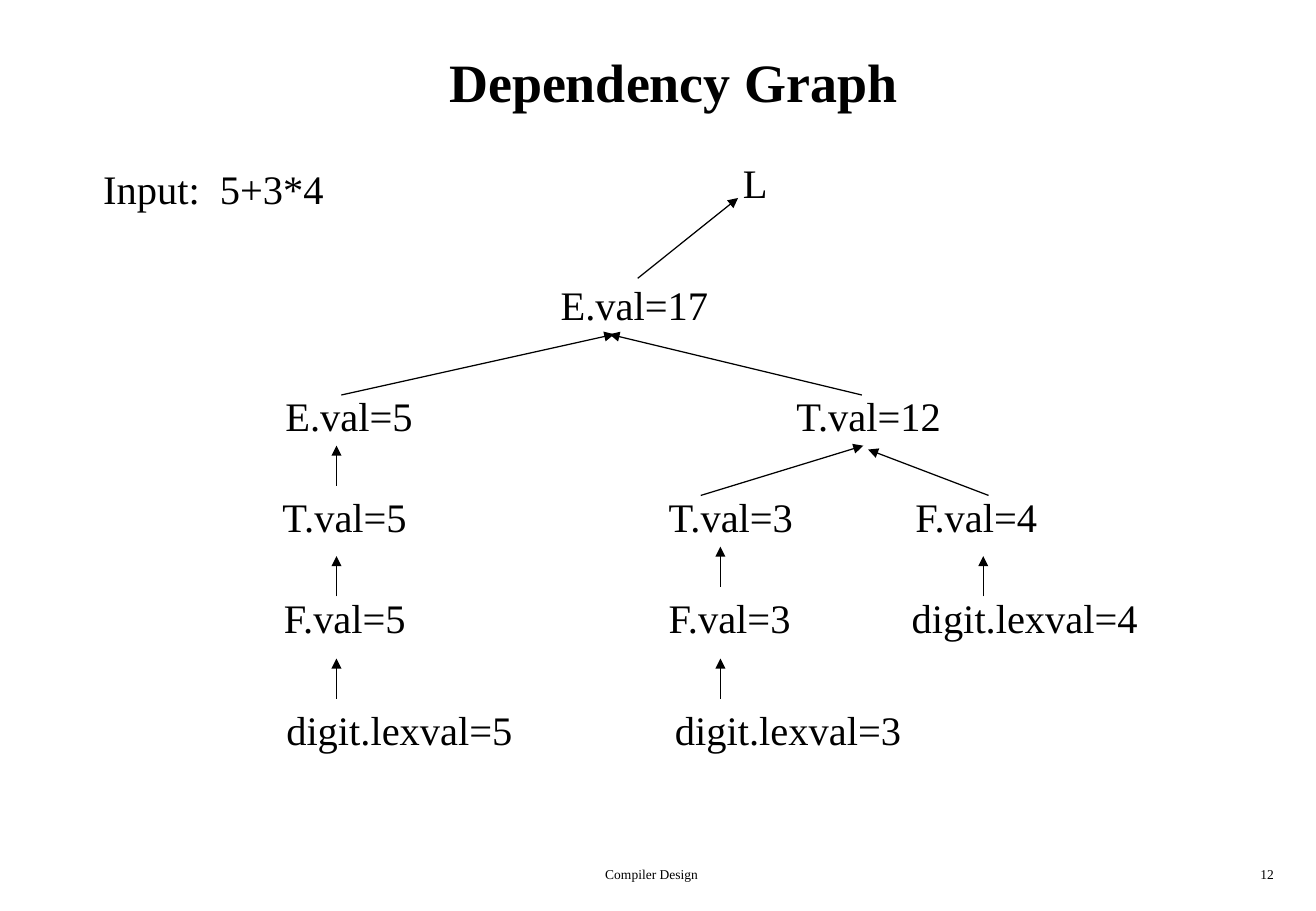
from collections import namedtuple

from lxml.etree import SubElement
from pptx import Presentation
from pptx.dml.color import RGBColor
from pptx.enum.shapes import MSO_CONNECTOR
from pptx.enum.text import MSO_ANCHOR, MSO_AUTO_SIZE, PP_ALIGN
from pptx.oxml.ns import qn
from pptx.util import Cm, Pt

BLACK = RGBColor(0, 0, 0)
WHITE = RGBColor(255, 255, 255)
FONT = "Times New Roman"
NODE_HEIGHT = 1.27
ARROW_RISE = 0.84

Box = namedtuple("Box", "left top width height")

ROW_TOPS = [0, 2.54, 4.87, 6.98, 9.09, 11.43]
NODES = [
    ("L", 9.69, 0),
    ("E.val=17", 5.88, 1),
    ("E.val=5", 0.12, 2),
    ("T.val=12", 10.81, 2),
    ("T.val=5", 0.06, 3),
    ("T.val=3", 8.14, 3),
    ("F.val=4", 13.3, 3),
    ("F.val=5", 0.09, 4),
    ("F.val=3", 8.14, 4),
    ("digit.lexval=4", 13.22, 4),
    ("digit.lexval=5", 0.14, 5),
    ("digit.lexval=3", 8.27, 5),
]
BRANCHES = [
    ((7.74, 2.64), (9.84, 0.96)),
    ((1.54, 5.08), (7.25, 3.81)),
    ((12.43, 5.08), (7.15, 3.81)),
    ((9.06, 7.18), (12.46, 6.14)),
    ((15.08, 7.18), (12.56, 6.22)),
]
CHAIN_TIPS = [(1.44, 6.14), (1.44, 8.45), (1.44, 10.59),
              (9.47, 8.25), (9.47, 10.59), (14.97, 8.45)]


def write_text(holder, text, size=24, bold=False, align=PP_ALIGN.LEFT,
               anchor=MSO_ANCHOR.TOP):
    frame = holder.text_frame
    frame.word_wrap = True
    frame.auto_size = MSO_AUTO_SIZE.NONE
    frame.vertical_anchor = anchor
    frame.margin_left = frame.margin_right = Cm(0.25)
    frame.margin_top = frame.margin_bottom = Cm(0.13)
    paragraph = frame.paragraphs[0]
    paragraph.alignment = align
    run = paragraph.add_run()
    run.text = text
    run.font.name = FONT
    run.font.size = Pt(size)
    run.font.bold = bold
    run.font.color.rgb = BLACK
    return paragraph


def add_label(slide, box, text, **style):
    label = slide.shapes.add_textbox(*map(Cm, box))
    return write_text(label, text, **style)


def add_title(slide, box):
    title = slide.shapes.title
    title.left, title.top, title.width, title.height = map(Cm, box)
    write_text(title, "Dependency Graph", size=32, bold=True,
               align=PP_ALIGN.CENTER, anchor=MSO_ANCHOR.MIDDLE)


def add_input(slide, box):
    expression = add_label(slide, box, "Input:\t5+3*4")
    tab_stops = SubElement(expression._p.get_or_add_pPr(), qn("a:tabLst"))
    SubElement(tab_stops, qn("a:tab"), pos=str(Cm(2.44)), algn="l")


def add_arrow(slide, box, start, tip):
    ends = [Cm(edge + offset) for point in (start, tip)
            for edge, offset in zip((box.left, box.top), point)]
    arrow = slide.shapes.add_connector(MSO_CONNECTOR.STRAIGHT, *ends)
    arrow.line.color.rgb = BLACK
    arrow.line.width = Pt(0.75)
    SubElement(arrow.line._get_or_add_ln(), qn("a:tailEnd"), type="triangle")
    SubElement(arrow._element.spPr, qn("a:effectLst"))


def add_graph(slide, box):
    for text, offset, row in NODES:
        width = 5.6 if text.startswith("digit") else 4.1
        add_label(slide, Box(box.left + offset, box.top + ROW_TOPS[row],
                             width, NODE_HEIGHT), text)
    for start, tip in BRANCHES:
        add_arrow(slide, box, start, tip)
    for across, down in CHAIN_TIPS:
        add_arrow(slide, box, (across, down + ARROW_RISE), (across, down))


def add_footer(slide, box):
    add_label(slide, Box(box.left, box.top, 10.31, box.height),
              "Compiler Design", size=8, align=PP_ALIGN.CENTER)
    number_width = 5.74
    add_label(slide, Box(box.left + box.width - number_width, box.top,
                         number_width, box.height),
              "12", size=8, align=PP_ALIGN.RIGHT)


def main():
    deck = Presentation()
    deck.slide_width, deck.slide_height = Cm(27.53), Cm(19.05)
    slide = deck.slides.add_slide(deck.slide_layouts[5])
    slide.background.fill.solid()
    slide.background.fill.fore_color.rgb = WHITE
    add_title(slide, Box(1.07, 0.43, 26.04, 2.54))
    add_input(slide, Box(1.91, 3.3, 5.6, NODE_HEIGHT))
    add_graph(slide, Box(5.6, 3.18, 18.82, 12.7))
    add_footer(slide, Box(8.48, 17.98, 18.42, 0.64))
    deck.save("out.pptx")


if __name__ == "__main__":
    main()
